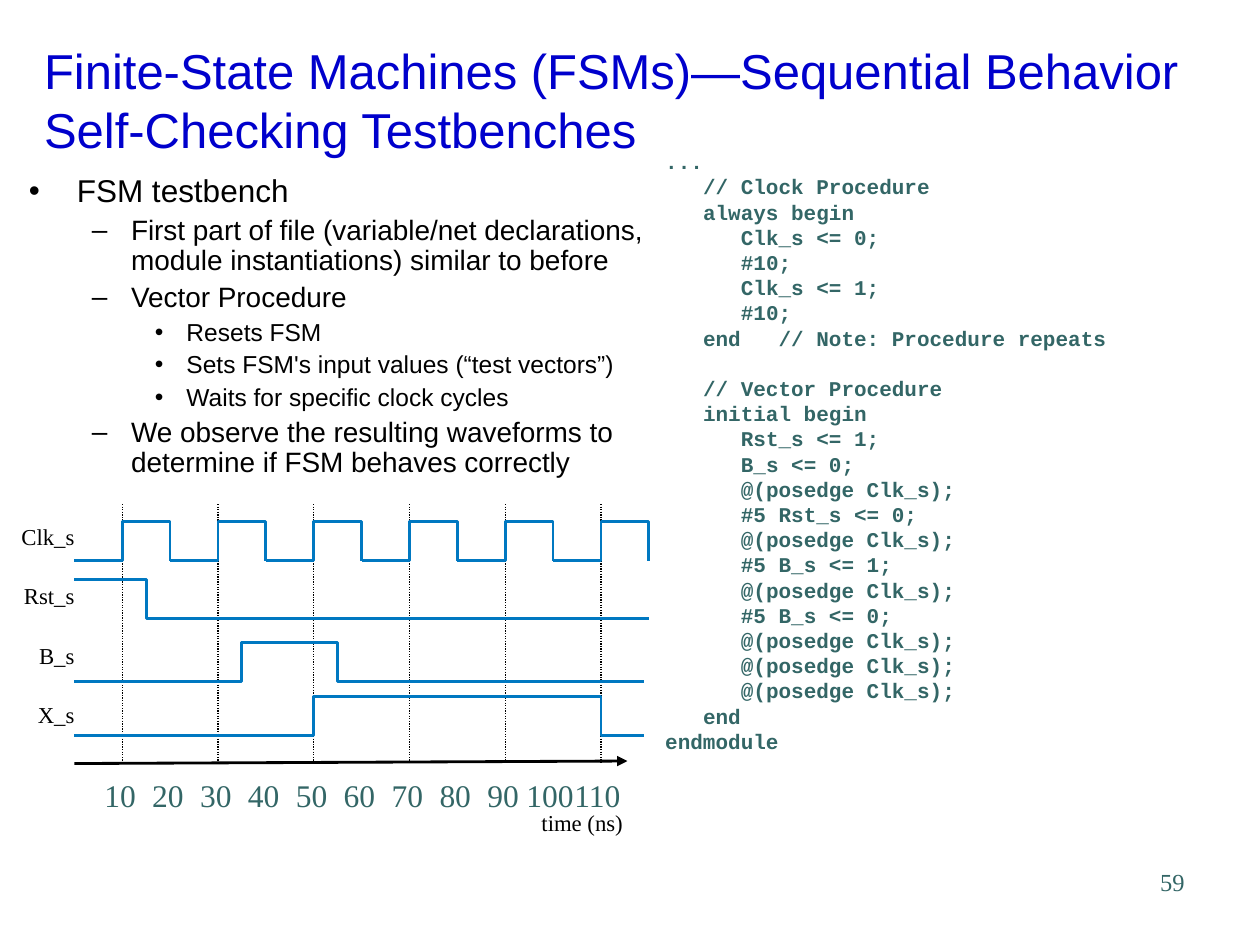
from lxml import etree
from pptx import Presentation
from pptx.dml.color import RGBColor
from pptx.enum.dml import MSO_LINE_DASH_STYLE as Dash
from pptx.enum.shapes import MSO_CONNECTOR as Connector
from pptx.enum.text import MSO_ANCHOR as Anchor, MSO_AUTO_SIZE as AutoSize, PP_ALIGN as Align
from pptx.oxml.ns import qn
from pptx.util import Inches, Pt

SERIF, SANS, MONO = "Times New Roman", "Arial", "Courier New"
BLACK, TEAL, TITLE_BLUE, WAVE_BLUE = "000000", "336666", "0000CC", "0078C1"

TITLE_LINES = ["Finite-State Machines (FSMs)—Sequential Behavior", "Self-Checking Testbenches"]
BULLETS = [
    (0, "FSM testbench"),
    (1, "First part of file (variable/net declarations, module instantiations) similar to before"),
    (1, "Vector Procedure"),
    (2, "Resets FSM"),
    (2, "Sets FSM's input values (“test vectors”)"),
    (2, "Waits for specific clock cycles"),
    (1, "We observe the resulting waveforms to determine if FSM behaves correctly"),
]
# level: size, space before, left margin, hanging indent, bullet
LEVELS = [(18, 4.5, 0.38, 0.38, "•"), (16, 4, 0.81, 0.31, "–"), (14, 3.5, 1.25, 0.25, "•")]

# Code sections as (indent level, line)
CODE_SECTIONS = [
    [(0, "..."), (1, "// Clock Procedure"), (1, "always begin"),
     (2, "Clk_s <= 0;"), (2, "#10;"), (2, "Clk_s <= 1;"), (2, "#10;"),
     (1, "end   // Note: Procedure repeats")],
    [(1, "// Vector Procedure"), (1, "initial begin"),
     (2, "Rst_s <= 1;"), (2, "B_s <= 0;"), (2, "@(posedge Clk_s);"),
     (2, "#5 Rst_s <= 0;"), (2, "@(posedge Clk_s);"),
     (2, "#5 B_s <= 1;"), (2, "@(posedge Clk_s);"),
     (2, "#5 B_s <= 0;"), (2, "@(posedge Clk_s);"),
     (2, "@(posedge Clk_s);"), (2, "@(posedge Clk_s);"),
     (1, "end"), (0, "endmodule")],
]
CODE_LINE = 14.4

# Signals: name, top of the high level, and (time in ns, level) steps
CLOCK_CYCLES = [[(start, 0), (start + 10, 1), (start + 20, 0)] for start in range(0, 120, 20)]
SIGNALS = [
    ("Clk_s", 0.14, CLOCK_CYCLES),
    ("Rst_s", 0.6, [[(0, 1), (15, 0), (120, 0)]]),
    ("B_s", 1.1, [[(0, 0), (35, 1), (55, 0), (119, 0)]]),
    ("X_s", 1.53, [[(0, 0), (50, 1), (110, 0), (119, 0)]]),
]
SWING = 0.31
TEN_NS = 0.38


def color(hex_string):
    return RGBColor.from_string(hex_string)


def add_run(paragraph, text, size, font, hex_string, bold=False):
    run = paragraph.add_run()
    run.text = text
    run.font.size, run.font.name, run.font.bold = Pt(size), font, bold
    run.font.color.rgb = color(hex_string)


def place(shape, box):
    shape.left, shape.top, shape.width, shape.height = map(Inches, box)


def add_text_box(shapes, box, margins=(0, 0), wrap=True):
    shape = shapes.add_textbox(*map(Inches, box))
    frame = shape.text_frame
    frame.word_wrap = wrap
    if not wrap:
        frame.auto_size = AutoSize.SHAPE_TO_FIT_TEXT
    frame.margin_left = frame.margin_right = Inches(margins[0])
    frame.margin_top = frame.margin_bottom = Inches(margins[1])
    return frame


def add_label(shapes, box, text, size, hex_string, align, **frame_options):
    paragraph = add_text_box(shapes, box, **frame_options).paragraphs[0]
    paragraph.alignment = align
    add_run(paragraph, text, size, SERIF, hex_string)


def add_line(shapes, start, end, width):
    line = shapes.add_connector(Connector.STRAIGHT, *map(Inches, start + end))
    line.line.color.rgb = color(BLACK)
    line.line.width = Pt(width)
    etree.SubElement(line._element.spPr, qn("a:effectLst"))
    return line


def add_wave(shapes, points):
    points = [(Inches(x), Inches(y)) for x, y in points]
    builder = shapes.build_freeform(*points[0])
    builder.add_line_segments(points[1:], close=False)
    wave = builder.convert_to_shape()
    wave.fill.background()
    wave.line.color.rgb = color(WAVE_BLUE)
    wave.line.width = Pt(1.62)
    wave.shadow.inherit = False


def build_title(slide, box):
    title = slide.shapes.title
    place(title, box)
    frame = title.text_frame
    frame.auto_size = AutoSize.NONE
    frame.vertical_anchor = Anchor.MIDDLE
    paragraph = frame.paragraphs[0]
    paragraph.alignment = Align.LEFT
    for index, line in enumerate(TITLE_LINES):
        if index:
            paragraph.add_line_break()
        add_run(paragraph, line, 28, SANS, TITLE_BLUE)


def build_bullets(slide, box):
    body = slide.placeholders[1]
    place(body, box)
    frame = body.text_frame
    frame.auto_size = AutoSize.NONE
    for index, (level, text) in enumerate(BULLETS):
        size, space, margin, hanging, bullet = LEVELS[level]
        paragraph = frame.add_paragraph() if index else frame.paragraphs[0]
        paragraph.level = level
        paragraph.line_spacing = 0.9
        paragraph.space_before = Pt(space)
        properties = paragraph._p.get_or_add_pPr()
        properties.set("marL", str(Inches(margin)))
        properties.set("indent", str(-Inches(hanging)))
        etree.SubElement(properties, qn("a:buChar")).set("char", bullet)
        add_run(paragraph, text, size, SANS, BLACK)


def build_code(slide, box):
    frame = add_text_box(slide.shapes, box)
    paragraph = frame.paragraphs[0]
    for section_index, section in enumerate(CODE_SECTIONS):
        for line_index, (level, text) in enumerate(section):
            if section_index or line_index:
                paragraph = frame.add_paragraph()
            paragraph.alignment = Align.LEFT
            paragraph.line_spacing = Pt(CODE_LINE)
            if section_index and not line_index:
                paragraph.space_before = Pt(CODE_LINE)
            paragraph._p.get_or_add_pPr().set("marL", str(Inches(0.3 * level)))
            add_run(paragraph, text, 12, MONO, TEAL, bold=True)


def build_waveforms(slide, box):
    left, top, width, height = box
    shapes = slide.shapes.add_group_shape().shapes
    label_width = 0.54
    plot_left = left + label_width

    def time_x(nanoseconds):
        return plot_left + TEN_NS * nanoseconds / 10

    # Rising clock edges
    for edge in range(10, 120, 20):
        guide = add_line(shapes, (time_x(edge), top), (time_x(edge), top + 2.05), 0.75)
        guide.line.dash_style = Dash.ROUND_DOT

    # Signal names and waves
    for row, (name, high, waves) in enumerate(SIGNALS):
        label_box = (left, top + 0.15 + 0.47 * row, label_width, 0.22)
        add_label(shapes, label_box, name, 13, BLACK, Align.RIGHT)
        for steps in waves:
            points, previous = [], steps[0][1]
            for time, level in steps:
                for value in dict.fromkeys((previous, level)):
                    points.append((time_x(time), top + high + SWING * (1 - value)))
                previous = level
            add_wave(shapes, points)

    # Time axis
    axis = add_line(shapes, (plot_left, top + 2.06), (left + 4.93, top + 2.04), 1.62)
    etree.SubElement(axis.line._get_or_add_ln(), qn("a:tailEnd")).set("type", "triangle")
    for time in range(10, 120, 10):
        tick_width = 0.46 if time < 100 else 0.6
        tick_box = (time_x(time) - 0.01 - tick_width / 2, top + 2.11, tick_width, 0.4)
        add_label(shapes, tick_box, str(time), 18, TEAL, Align.LEFT,
                  margins=(0.1, 0.05), wrap=False)
    caption_box = (left + width - 1.1, top + height - 0.22, 1.14, 0.22)
    add_label(shapes, caption_box, "time (ns)", 13, BLACK, Align.CENTER)


def build_page_number(slide, box):
    add_label(slide.shapes, box, "59", 14, TEAL, Align.RIGHT, margins=(0.1, 0.05))


def main():
    presentation = Presentation()
    presentation.slide_width, presentation.slide_height = Inches(10), Inches(7.5)
    slide = presentation.slides.add_slide(presentation.slide_layouts[1])
    build_page_number(slide, (7.42, 6.83, 2.08, 0.5))
    build_title(slide, (0.25, 0.33, 9.53, 0.92))
    build_bullets(slide, (0.13, 1.34, 5.24, 2.63))
    build_code(slide, (5.28, 1.18, 3.6, 4.8))
    build_waveforms(slide, (0.05, 4, 5.1, 2.64))
    presentation.save("out.pptx")


if __name__ == "__main__":
    main()
